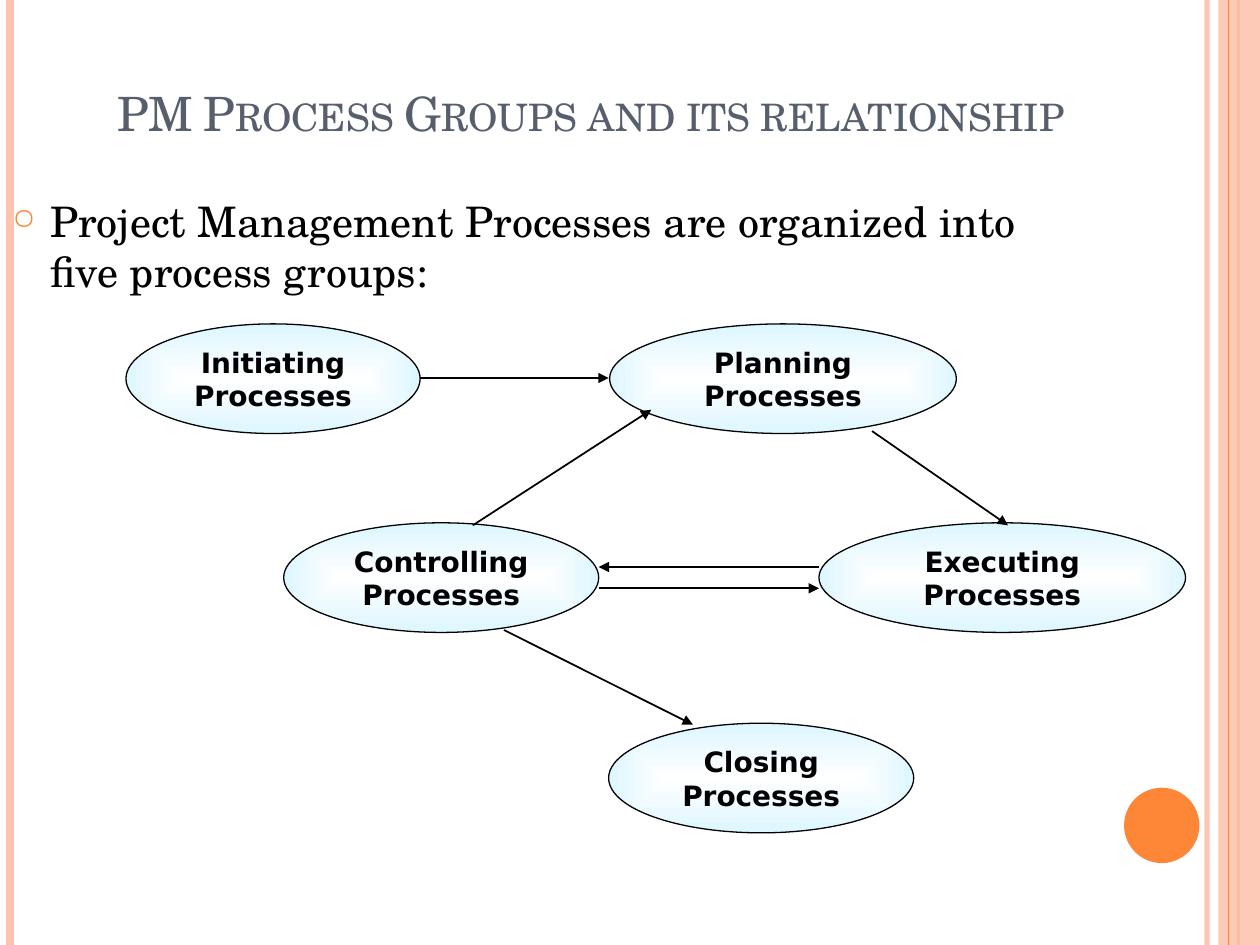
from lxml import etree
from pptx import Presentation
from pptx.dml.color import RGBColor
from pptx.enum.shapes import MSO_CONNECTOR, MSO_SHAPE
from pptx.enum.text import MSO_ANCHOR, PP_ALIGN
from pptx.oxml.ns import qn
from pptx.util import Cm, Pt

LINE = MSO_CONNECTOR.STRAIGHT
OVAL, RECT = MSO_SHAPE.OVAL, MSO_SHAPE.RECTANGLE
MID, LOW = MSO_ANCHOR.MIDDLE, MSO_ANCHOR.BOTTOM
CENTER = PP_ALIGN.CENTER

BLACK = RGBColor(0, 0, 0)
WHITE = RGBColor(0xFF, 0xFF, 0xFF)
ICE = RGBColor(0xDD, 0xF6, 0xFF)
PEACH = RGBColor(0xFE, 0xC3, 0xAE)
ORANGE = RGBColor(0xFE, 0x86, 0x37)
SLATE = RGBColor(0x57, 0x5F, 0x6D)
SERIF, SANS = "TeX Gyre Schola", "DejaVu Sans"

WIDE, HIGH = 25.4, 19.05
TITLE = "PM Process Groups and its relationship"
INTRO = "Project Management Processes are organized into five process groups:"
BACK = [(24.33, PEACH, 3, 93), (0.2, PEACH, 4.5, 100), (24.97, ORANGE, 1.5, 100)]
FRONT = [(24.77, ORANGE, 0.75, 100)]
ROWS = [6.53, 10.54, 14.58]
OVAL_H = 2.21
GROUPS = [
    ("Initiating", 0, 2.54, 5.93),
    ("Planning", 0, 12.29, 6.99),
    ("Executing", 1, 16.51, 7.39),
    ("Controlling", 1, 5.72, 6.35),
    ("Closing", 2, 12.27, 6.15),
]
ARROWS = [
    (8.46, 7.62, 12.27, 7.62),
    (17.58, 8.69, 20.32, 10.59),
    (16.51, 11.43, 12.07, 11.43),
    (12.07, 11.86, 16.51, 11.86),
    (9.53, 10.59, 13.13, 8.26),
    (10.16, 12.7, 13.97, 14.61),
]


def add(node, tag, **attrs):
    return etree.SubElement(node, qn(tag), attrs)


def fade(node, pct):
    if pct < 100:
        for color in node.iter(qn("a:srgbClr")):
            add(color, "a:alpha", val=str(pct * 1000))


def rule(ends, color, width, pct=100):
    line = shapes.add_connector(LINE, *map(Cm, ends))
    line.line.color.rgb = color
    line.line.width = Pt(width)
    props = line._element.spPr
    fade(props, pct)
    add(props, "a:effectLst")
    return line


def bars(items):
    for x, color, width, pct in items:
        rule((x, 0, x, HIGH), color, width, pct)


def block(kind, box, color=None):
    shape = shapes.add_shape(kind, *map(Cm, box))
    shape.shadow.inherit = False
    if color is not None:
        shape.fill.solid()
        shape.fill.fore_color.rgb = color
        shape.line.fill.background()
    return shape


def style(par, face, size, color, bold=False):
    font = par.runs[0].font
    font.name, font.size, font.bold = face, Pt(size), bold
    font.color.rgb = color
    return font


def write(box, text, size, color):
    frame = shapes.add_textbox(*map(Cm, box)).text_frame
    frame.word_wrap = True
    frame.text = text
    return frame, style(frame.paragraphs[0], SERIF, size, color)


def glow(shape):
    shape.fill.gradient()
    for stop, color in zip(shape.fill.gradient_stops, (WHITE, ICE)):
        stop.color.rgb = color
    grad = shape._element.spPr.find(qn("a:gradFill"))
    grad.remove(grad.find(qn("a:lin")))
    path = add(grad, "a:path", path="shape")
    add(path, "a:fillToRect", l="50000", t="50000", r="50000", b="50000")


def group(name, row, left, width):
    shape = block(OVAL, (left, ROWS[row], width, OVAL_H))
    glow(shape)
    shape.line.color.rgb = BLACK
    shape.line.width = Pt(0.75)
    frame = shape.text_frame
    frame.word_wrap = True
    frame.vertical_anchor = MID
    frame.text = f"{name} Processes"
    par = frame.paragraphs[0]
    par.alignment = CENTER
    style(par, SANS, 16, BLACK, True)


deck = Presentation()
deck.slide_width, deck.slide_height = Cm(WIDE), Cm(HIGH)
shapes = deck.slides.add_slide(deck.slide_layouts[6]).shapes

bars(BACK)
band = block(RECT, (24.56, 0, 0.84, HIGH), PEACH)
fade(band._element.spPr, 87)
bars(FRONT)
block(OVAL, (22.66, 15.88, 1.52, 1.52), ORANGE)

frame, font = write((2.11, 0.64, 21.59, 2.33), TITLE, 27, SLATE)
frame.vertical_anchor = LOW
font._element.set("cap", "small")

frame, font = write((0, 3.81, 21.59, 13.13), INTRO, 24, BLACK)
props = frame.paragraphs[0]._p.get_or_add_pPr()
props.set("marL", str(Cm(0.76)))
props.set("indent", str(-Cm(0.76)))
add(add(props, "a:buClr"), "a:srgbClr", val=str(ORANGE))
add(props, "a:buSzPct", val="70000")
add(props, "a:buChar", char="○")

for item in GROUPS:
    group(*item)
for ends in ARROWS:
    arrow = rule(ends, BLACK, 1)
    add(arrow.line._get_or_add_ln(), "a:tailEnd", type="triangle")

deck.save("out.pptx")
